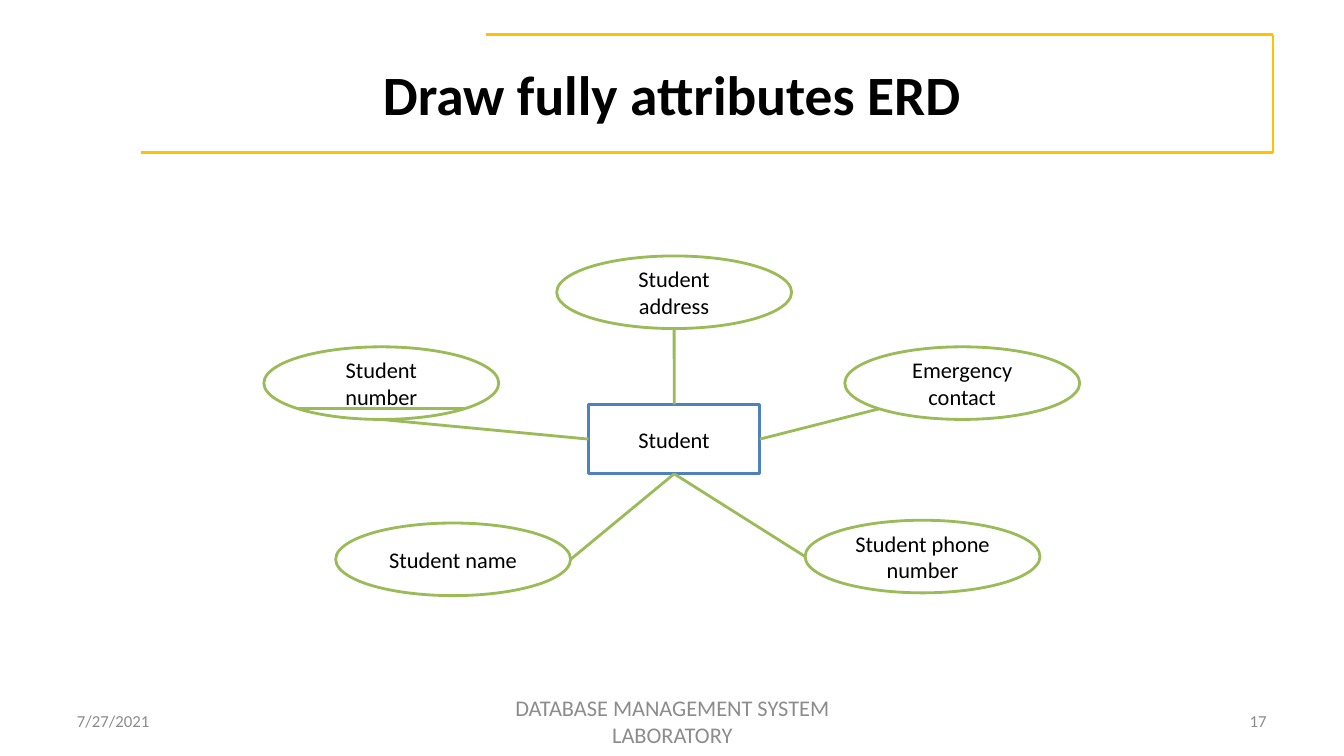
from dataclasses import dataclass

from lxml import etree
from pptx import Presentation
from pptx import util as u
from pptx.dml.color import RGBColor
from pptx.enum import shapes, text
from pptx.oxml.ns import qn

COLORS = {
    "frame": "FFC100",
    "entity": "4F81BD",
    "attribute": "9BBB59",
    "paper": "FFFFFF",
    "ink": "000000",
    "footer": "8C8C8C",
}
FONT = "Calibri"
OVAL_W, OVAL_H = 5.92, 1.83
DIAGONAL = 0.146  # where an oval's 45° points fall, as a share of its size
TOP, LEFT, BOTTOM, RIGHT = range(4)


@dataclass
class Label:
    wording: str
    left: float
    top: float
    width: float
    height: float
    size: float
    color: str
    align: text.PP_ALIGN
    bold: bool = False


@dataclass
class Attribute:
    wording: str
    left: float
    top: float
    entity_side: int
    anchor: tuple[float, float]  # share of the oval's width and height
    is_key: bool = False

    def point(self, across: float, down: float) -> tuple[float, float]:
        return self.left + across * OVAL_W, self.top + down * OVAL_H


CENTER = text.PP_ALIGN.CENTER
LABELS = [
    Label("Draw fully attributes ERD", 1.69, 0.76, 30.48, 3.18, 39.6, "ink", CENTER, True),
    Label("7/27/2021", 1.69, 17.66, 7.9, 1.01, 12, "footer", text.PP_ALIGN.LEFT),
    Label("DATABASE MANAGEMENT SYSTEM LABORATORY", 11.58, 17.66, 10.73, 1.01, 16,
          "footer", CENTER),
    Label("17", 24.27, 17.66, 7.9, 1.01, 12, "footer", text.PP_ALIGN.RIGHT),
]
FRAME_CORNERS = [(12.24, 0.87), (32.08, 0.87), (32.08, 3.85), (3.56, 3.85)]
ATTRIBUTES = [
    Attribute("Student number", 6.65, 8.74, LEFT, (0.5, 1), is_key=True),
    Attribute("Student address", 14.03, 6.45, TOP, (0.5, 1)),
    Attribute("Emergency contact", 21.29, 8.74, RIGHT, (DIAGONAL, 1 - DIAGONAL)),
    Attribute("Student phone number", 20.29, 13.11, BOTTOM, (0, 0.5)),
    Attribute("Student name", 8.46, 13.18, BOTTOM, (1, 0.5)),
]


def write(frame, wording: str, size: float, color: str, align, bold: bool = False) -> None:
    frame.word_wrap = True
    frame.vertical_anchor = text.MSO_ANCHOR.MIDDLE
    paragraph = frame.paragraphs[0]
    paragraph.alignment = align
    run = paragraph.add_run()
    run.text = wording
    run.font.name = FONT
    run.font.size = u.Pt(size)
    run.font.bold = bold
    run.font.color.rgb = RGBColor.from_string(COLORS[color])


def add_label(slide, label: Label) -> None:
    box = slide.shapes.add_textbox(
        u.Cm(label.left), u.Cm(label.top), u.Cm(label.width), u.Cm(label.height))
    write(box.text_frame, label.wording, label.size, label.color, label.align, label.bold)


def add_node(slide, kind, wording: str, left: float, top: float,
             width: float, height: float, outline: str):
    node = slide.shapes.add_shape(kind, u.Cm(left), u.Cm(top), u.Cm(width), u.Cm(height))
    node.shadow.inherit = False
    node.fill.solid()
    node.fill.fore_color.rgb = RGBColor.from_string(COLORS["paper"])
    node.line.color.rgb = RGBColor.from_string(COLORS[outline])
    node.line.width = u.Pt(2)
    write(node.text_frame, wording, 16, "ink", CENTER)
    return node


def add_line(slide, start: tuple[float, float], end: tuple[float, float], color: str):
    line = slide.shapes.add_connector(
        shapes.MSO_CONNECTOR.STRAIGHT, *(u.Cm(value) for value in (*start, *end)))
    line.line.color.rgb = RGBColor.from_string(COLORS[color])
    line.line.width = u.Pt(2)
    etree.SubElement(line._element.spPr, qn("a:effectLst"))
    return line


def main() -> None:
    deck = Presentation()
    deck.slide_width, deck.slide_height = u.Cm(33.87), u.Cm(19.05)
    slide = deck.slides.add_slide(deck.slide_layouts[6])

    # Title frame, title and footer
    for start, end in zip(FRAME_CORNERS, FRAME_CORNERS[1:]):
        add_line(slide, start, end, "frame")
    for label in LABELS:
        add_label(slide, label)

    # Entity
    student = add_node(slide, shapes.MSO_SHAPE.RECTANGLE, "Student",
                       14.83, 10.19, 4.32, 1.75, "entity")

    # Attributes, each tied to the entity; the key one is underlined
    for attribute in ATTRIBUTES:
        add_node(slide, shapes.MSO_SHAPE.FLOWCHART_CONNECTOR, attribute.wording,
                 attribute.left, attribute.top, OVAL_W, OVAL_H, "attribute")
        anchor = attribute.point(*attribute.anchor)
        tie = add_line(slide, anchor, anchor, "attribute")
        tie.begin_connect(student, attribute.entity_side)
        if attribute.is_key:
            add_line(slide, attribute.point(DIAGONAL, 1 - DIAGONAL),
                     attribute.point(1 - DIAGONAL, 1 - DIAGONAL), "attribute")

    deck.save("out.pptx")


if __name__ == "__main__":
    main()
